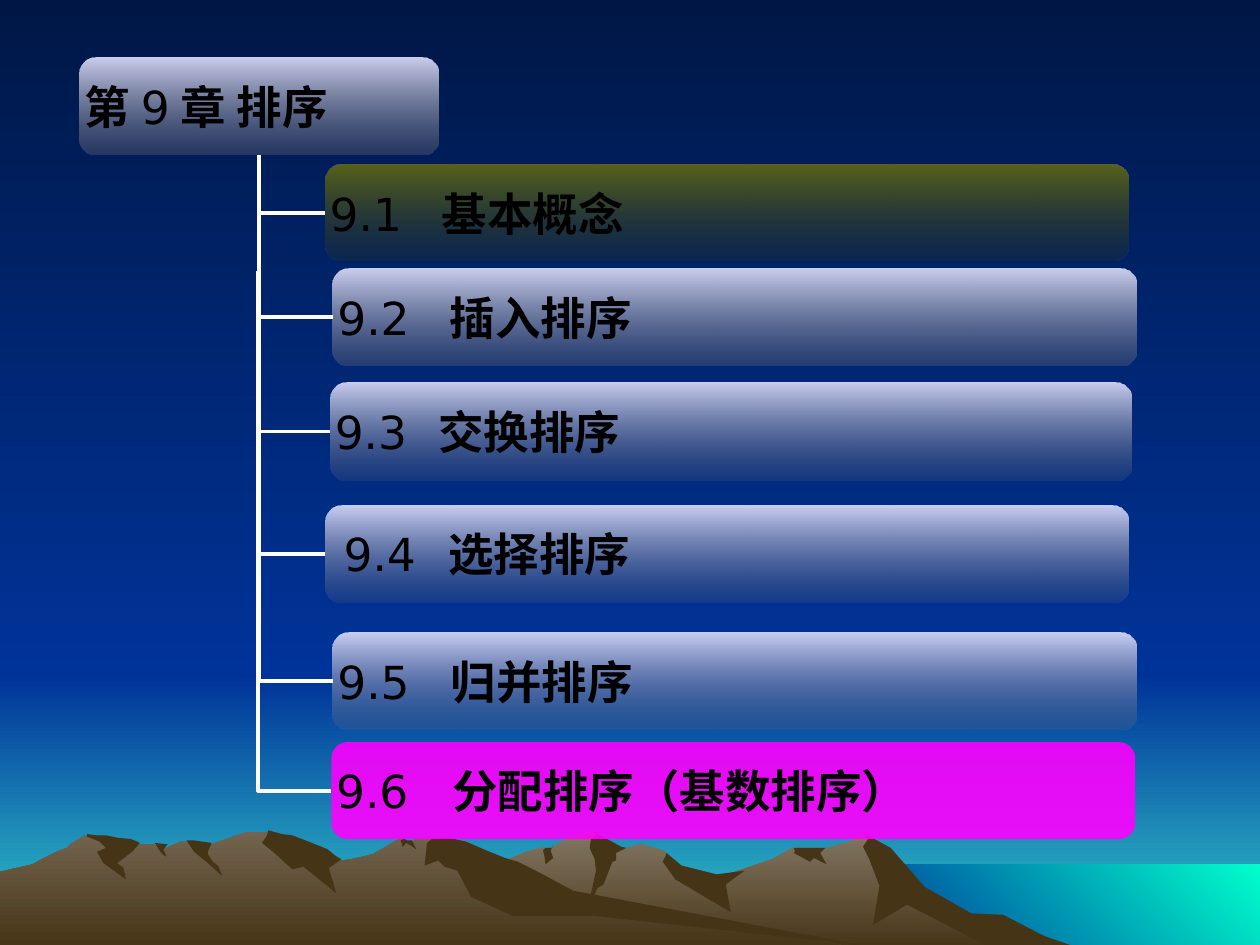
import pptx
import pptx.dml.color
import pptx.enum.shapes
import pptx.enum.text
import pptx.oxml.ns
import pptx.oxml.xmlchemy
import pptx.util
from lxml import etree

PX = 9144  # EMU per px, on a grid of 1000 by 750 px
LATIN, CJK = "DejaVu Sans", "Noto Sans CJK SC"
ROCK = "463416"
SHAPE = pptx.enum.shapes.MSO_SHAPE
qn = pptx.oxml.ns.qn

PANELS = [  # box, top colour, bottom colour, angle
    ((0, 536, 1000, 214), "003399", "33CCCC", 270),
    ((0, 0, 1000, 536), "001746", "003399", 270),
    ((683, 686, 317, 64), "00FFCC", "003399", 225),
]
RIGHT_RANGE = """802,741 778,728 763,725 723,699 701,673 685,661 675,668 656,673 629,673
    613,682 566,698 536,691 529,677 526,675 509,670 497,673 485,675 474,662 471,660 465,660
    450,666 444,669 438,673 429,673 418,676 404,682 394,687 355,699 327,711 277,740 258,753
    821,753"""
LEFT_RANGE = """690,753 667,750 432,714 354,666 331,664 327,669 323,669 318,665 296,678
    279,682 271,683 259,678 235,682 223,664 215,661 207,660 196,660 182,665 168,670 160,673
    148,668 143,668 132,673 127,673 122,670 111,670 94,673 67,663 56,670 53,673 45,676 35,681
    26,686 13,689 0,692 0,753"""
RIGHT_SHADOWS = [
    """796,726 771,725 734,704 707,673 685,661 689,666 685,672 690,682 698,703 693,734 720,718
    788,753 858,753 829,743""",
    """471,660 474,663 469,666 468,673 472,682 473,691 465,728 474,705 479,702 486,684 489,683
    489,677 497,673 493,672""",
    "529,677 528,680 526,684 536,698 580,724 576,702 591,691 569,694 541,687",
    "649,673 630,673 631,676 630,677 643,684 646,681 656,686 651,677 655,673",
    "432,679 431,675 433,673 438,673 439,671 437,675 439,681 433,686",
]
LEFT_SHADOWS = [
    """212,663 208,669 219,678 232,690 241,688 267,709 261,689 271,682 266,679 260,674 245,668
    232,663 224,662 213,659""",
    """370,668 361,666 354,665 344,665 339,669 337,687 348,683 353,688 363,691 374,712 407,727
    472,727 690,751 683,750 455,707 427,692 411,684 401,681 386,675""",
    """318,667 320,666 318,664 323,667 327,667 330,673 330,674 326,671 322,669 321,671 319,672
    319,670""",
    """154,667 161,668 168,669 165,676 165,678 169,684 173,687 176,694 176,695 165,685 154,676
    148,667""",
    "133,670 130,674 130,675 132,679 132,680 129,678 126,674 123,669",
    """109,668 111,669 105,676 93,685 98,689 100,698 82,685 77,676 84,673 79,668 69,664 69,662
    77,663 84,663 94,665 104,666""",
]

ROOT_BOX = (63, 46, 285, 77)
LAVENDER = ("E3E3FF", "686875")
SECTIONS = [  # number, heading, box, colours, opacities, left inset, tab stop
    ("9.1", "基本概念", (258, 131, 638, 76), ("808000", "3B3B00"), (70, 19), 0, 89),
    ("9.2", "插入排序", (264, 213, 638, 77), LAVENDER, (90, 35), 0, 89),
    ("9.3", "交换排序", (262, 304, 636, 77), LAVENDER, (89, 19), 0, 82),
    ("9.4", "选择排序", (258, 401, 638, 77), LAVENDER, (89, 19), 11, 83),
    ("9.5", "归并排序", (264, 502, 638, 77), LAVENDER, (89, 19), 0, 90),
    ("9.6", "分配排序（基数排序）", (263, 589, 638, 77), ("FF00FF",), (89,), 0, 92),
]


def rgb(value):
    return pptx.dml.color.RGBColor.from_string(value)


def paint(fill, colours, opacities=(100, 100), angle=270):
    """Fill with one colour or a two-colour gradient, with opacities in percent."""
    if len(colours) == 1:
        fill.solid()
        targets = [fill.fore_color]
    else:
        fill.gradient()
        fill.gradient_angle = angle
        targets = [stop.color for stop in fill.gradient_stops]
    for target, colour, opacity in zip(targets, colours, opacities):
        target.rgb = rgb(colour)
        if opacity < 100:
            value = target._color._xClr
            etree.SubElement(value, qn("a:alpha"), val=str(opacity * 1000))


def finish(shape, *fill_args):
    shape.shadow.inherit = False
    shape.line.fill.background()
    paint(shape.fill, *fill_args)
    return shape


def add_box(slide, kind, box, *fill_args):
    shape = slide.shapes.add_shape(kind, *(length * PX for length in box))
    return finish(shape, *fill_args)


def add_outline(slide, points, *colours):
    corners = [tuple(map(int, point.split(","))) for point in points.split()]
    builder = slide.shapes.build_freeform(*corners[0], scale=PX)
    builder.add_line_segments(corners[1:], close=True)
    finish(builder.convert_to_shape(), colours)


def write_text(shape, runs, left_inset=0, tab=None):
    """Write (text, font name, bold) runs as one left-aligned line."""
    frame = shape.text_frame
    settings = {
        "margin_left": left_inset * PX, "margin_right": 0, "margin_top": 0, "margin_bottom": 0,
        "word_wrap": True, "auto_size": pptx.enum.text.MSO_AUTO_SIZE.NONE,
        "vertical_anchor": pptx.enum.text.MSO_ANCHOR.MIDDLE,
    }
    for key, value in settings.items():
        setattr(frame, key, value)
    line = frame.paragraphs[0]
    line.alignment = pptx.enum.text.PP_ALIGN.LEFT
    if tab:
        stops = etree.SubElement(line._p.get_or_add_pPr(), qn("a:tabLst"))
        etree.SubElement(stops, qn("a:tab"), pos=str(tab * PX), algn="l")
    for text, typeface, bold in runs:
        run = line.add_run()
        run.text = text
        look = {"name": typeface, "bold": bold, "size": pptx.util.Pt(26)}
        for key, value in look.items():
            setattr(run.font, key, value)
        run.font.color.rgb = rgb("000000")
        run.font._element.find(qn("a:latin")).addnext(
            etree.Element(qn("a:ea"), typeface=CJK))


def add_node(slide, box, colours, opacities):
    node = add_box(slide, SHAPE.ROUNDED_RECTANGLE, box, colours, opacities)
    node.adjustments[0] = 0.167
    return node


def add_title(slide):
    title = slide.shapes.title
    left, top, width, height = ROOT_BOX
    place = {"left": left + 4, "top": top, "width": width - 8, "height": height}
    for key, value in place.items():
        setattr(title, key, value * PX)
    write_text(title, [("第", CJK, True), ("9", LATIN, False), ("章 排序", CJK, True)])
    slide.shapes._spTree.append(title.element)


def add_branch(slide, section, root, end=None):
    """Join a section to the root, or to a free end on the trunk."""
    start = (section.left, section.top + section.height // 2)
    finish_at = end or (root.left + root.width // 2, root.top + root.height)
    branch = slide.shapes.add_connector(
        pptx.enum.shapes.MSO_CONNECTOR.ELBOW, *start, *finish_at)
    if not end:
        branch.begin_connect(section, 1)
        branch.end_connect(root, 2)
    properties = branch.element.spPr
    properties.find(qn("a:prstGeom")).set("prst", "bentConnector2")
    branch.line.width = pptx.util.Pt(2.25)
    branch.line.color.rgb = rgb("FFFFFF")
    etree.SubElement(properties, qn("a:effectLst"))


def add_scenery(slide):
    paint(slide.background.fill, ("001746", "003399"))
    for box, first, last, angle in PANELS:
        add_box(slide, SHAPE.RECTANGLE, box, (first, last), (100, 100), angle)
    ranges = [(RIGHT_RANGE, "837763", RIGHT_SHADOWS), (LEFT_RANGE, "72644E", LEFT_SHADOWS)]
    for ridge, peak, shadows in ranges:
        add_outline(slide, ridge, peak, ROCK)
        for shadow in shadows:
            add_outline(slide, shadow, ROCK)


def main():
    deck = pptx.Presentation()
    deck.slide_width, deck.slide_height = 1000 * PX, 750 * PX
    slide = deck.slides.add_slide(deck.slide_layouts[5])
    add_scenery(slide)
    root = add_node(slide, ROOT_BOX, LAVENDER, (90, 35))
    add_title(slide)
    for number, heading, box, colours, opacities, inset, tab in SECTIONS:
        section = add_node(slide, box, colours, opacities)
        runs = [(number + "\t", LATIN, False), (heading, CJK, True)]
        write_text(section, runs, inset, tab)
        add_branch(slide, section, root, (205 * PX, 215 * PX) if number == "9.6" else None)
    deck.save("out.pptx")


if __name__ == "__main__":
    main()
